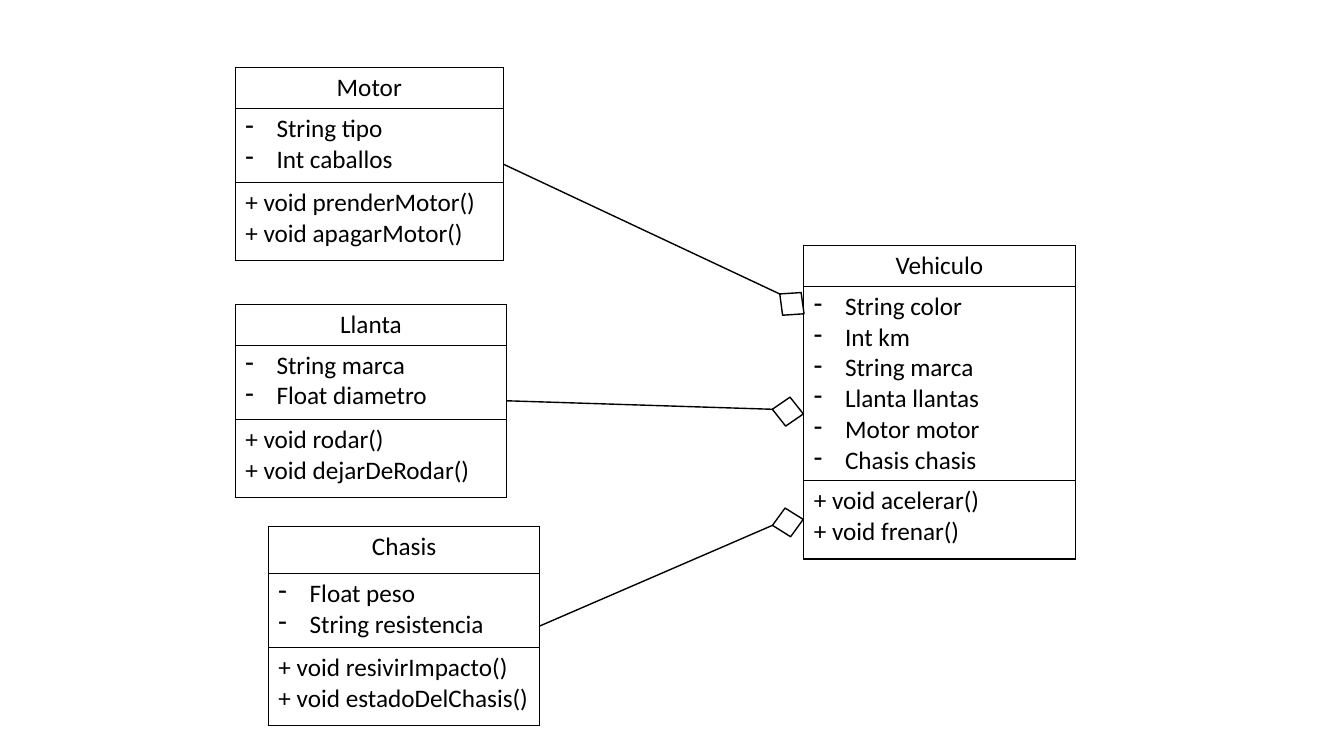
import math
from pptx import Presentation, util as u
from pptx.dml.color import RGBColor
from pptx.enum import shapes, text
from pptx.oxml import parse_xml
from pptx.oxml.ns import nsdecls

prs = Presentation()
prs.slide_width, prs.slide_height = u.Inches(13.33), u.Inches(7.5)
s = prs.slides.add_slide(prs.slide_layouts[6])
INK, PAPER = "000000", "FFFFFF"


def X(share):
    """Percent of the slide's width."""
    return int(prs.slide_width * share / 100)


def Y(share):
    """Percent of the slide's height."""
    return int(prs.slide_height * share / 100)


def color(hex_value):
    return RGBColor.from_string(hex_value)


def outline(sp):
    sp.line.color.rgb = color(INK)
    sp.line.width = u.Pt(1)


def write(p, words, size=18, font="Calibri", align=None, bullet=None):
    r = p.add_run()
    r.text = words
    r.font.size, r.font.name = u.Pt(size), font
    r.font.color.rgb = color(INK)
    p.alignment = align
    if bullet:
        pPr = p._p.get_or_add_pPr()
        indent = u.Inches(0.31)
        pPr.set("marL", str(indent))
        pPr.set("indent", str(-indent))
        pPr.append(parse_xml(f'<a:buChar {nsdecls("a")} char="{bullet}"/>'))


def border(cell):
    tcPr = cell._tc.get_or_add_tcPr()
    for i, side in enumerate(("lnL", "lnR", "lnT", "lnB")):
        tcPr.insert(i, parse_xml(
            f'<a:{side} {nsdecls("a")} w="{u.Pt(1)}"><a:solidFill>'
            f'<a:srgbClr val="{INK}"/></a:solidFill></a:{side}>'))


def class_box(box, name, fields, methods):
    """Three stacked compartments: name, fields, methods."""
    left, top, width, rows = box
    frame = s.shapes.add_table(3, 1, X(left), Y(top), X(width), Y(sum(rows)))
    table = frame.table
    table.first_row = table.horz_banding = False
    parts = (([name], {"align": text.PP_ALIGN.CENTER}),
             (fields, {"bullet": "-"}),
             (methods, {}))
    for i, (lines, style) in enumerate(parts):
        table.rows[i].height = Y(rows[i])
        cell = table.cell(i, 0)
        cell.fill.background()
        border(cell)
        tf = cell.text_frame
        for n, line in enumerate(lines):
            write(tf.add_paragraph() if n else tf.paragraphs[0], line, **style)


def aggregation(box, center, angle):
    """Line from the middle of a box's right side to a turned diamond."""
    left, top, width, rows = box
    cx, cy = X(center[0]), Y(center[1])
    w, h = X(2.33), Y(3.87)
    sp = s.shapes.add_shape(shapes.MSO_SHAPE.DIAMOND,
                            cx - w // 2, cy - h // 2, w, h)
    sp.rotation = angle
    sp.shadow.inherit = False
    sp.fill.solid()
    sp.fill.fore_color.rgb = color(PAPER)
    outline(sp)
    turn = math.radians(angle)
    line = s.shapes.add_connector(
        shapes.MSO_CONNECTOR.STRAIGHT,
        X(left + width), Y(top + sum(rows) / 2),
        int(cx - w / 2 * math.cos(turn)), int(cy - w / 2 * math.sin(turn)))
    outline(line)
    line._element.spPr.append(parse_xml(f'<a:effectLst {nsdecls("a")}/>'))


# Row heights: name, two fields, two methods
NAME, FIELDS, METHODS = 5.4, 9.8, 10.33
ROWS = (NAME, FIELDS, METHODS)

# Parts: box, class text, diamond centre and angle
PARTS = [
    ((17.5, 8.95, 19.95, ROWS), "Motor", ["String tipo", "Int caballos "],
     ["+ void prenderMotor()", "+ void apagarMotor()"], (58.92, 40.2), 39.3),
    ((17.5, 40.25, 20.2, ROWS), "Llanta", ["String marca", "Float diametro"],
     ["+ void rodar()", "+ void dejarDeRodar()"], (58.62, 54.45), 8.6),
    ((19.97, 69.6, 20.2, (6.27, FIELDS, METHODS)), "Chasis",
     ["Float peso", "String resistencia"],
     ["+ void resivirImpacto()", "+ void estadoDelChasis()"],
     (58.62, 69.1), 349),
]
for box, name, fields, methods, center, angle in PARTS:
    aggregation(box, center, angle)
    class_box(box, name, fields, methods)

# Whole
class_box((59.8, 32.45, 20.2, (NAME, 25.7, METHODS)), "Vehiculo",
          ["String color", "Int km", "String marca", "Llanta llantas",
           "Motor motor", "Chasis chasis"],
          ["+ void acelerar()", "+ void frenar()"])

prs.save("out.pptx")
